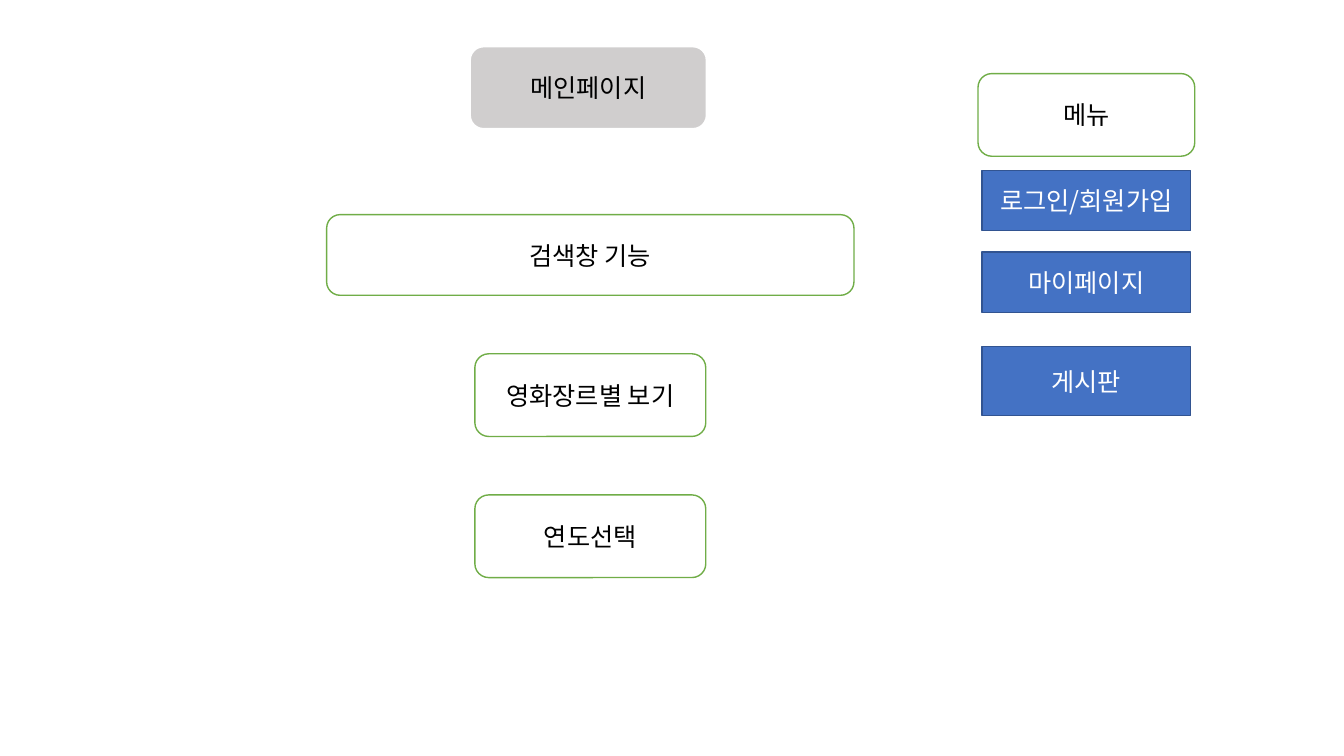
from lxml.etree import SubElement
from pptx import Presentation
from pptx.dml.color import RGBColor
from pptx.enum.shapes import MSO_SHAPE
from pptx.enum.text import MSO_ANCHOR, PP_ALIGN
from pptx.oxml.ns import qn
from pptx.util import Inches, Pt

COLORS = {"white": "FFFFFF", "black": "000000", "gray": "D0CECE",
          "green": "70AD47", "blue": "4472C4", "navy": "325491"}
FONT = "Noto Sans CJK KR"
STYLES = {
    "page": (MSO_SHAPE.ROUNDED_RECTANGLE, "gray", "white", 1.5, "black"),
    "feature": (MSO_SHAPE.ROUNDED_RECTANGLE, "white", "green", 1, "black"),
    "link": (MSO_SHAPE.RECTANGLE, "blue", "navy", 1, "white"),
}
MAIN_LEFT, MENU_LEFT = 4.71, 9.74
MAIN_WIDTH, MENU_WIDTH = 2.29, 2.07
BOX_HEIGHT, LINK_HEIGHT = 0.82, 0.6
FEATURE_TOP, FEATURE_STEP = 3.51, 1.4


def color(name):
    """Return the palette colour of that name."""
    return RGBColor.from_string(COLORS[name])


def apply(target, settings):
    """Set every attribute in the dict on the target."""
    for attribute, value in settings.items():
        setattr(target, attribute, value)


def add_label(box, wording, ink):
    """Write one centred line of text in a box."""
    frame = box.text_frame
    apply(frame, {"word_wrap": True, "vertical_anchor": MSO_ANCHOR.MIDDLE})
    line = frame.paragraphs[0]
    line.alignment = PP_ALIGN.CENTER
    label = line.add_run()
    label.text = wording
    apply(label.font, {"name": FONT, "size": Pt(18)})
    label.font.color.rgb = color(ink)
    SubElement(label.font._element, qn("a:ea"), typeface=FONT)


def add_box(slide, style, wording, *place):
    """Draw a labelled box in one of the named styles."""
    outline, fill, border, weight, ink = STYLES[style]
    box = slide.shapes.add_shape(outline, *map(Inches, place))
    box.shadow.inherit = False
    box.fill.solid()
    box.fill.fore_color.rgb = color(fill)
    box.line.color.rgb = color(border)
    box.line.width = Pt(weight)
    add_label(box, wording, ink)


def main():
    """Build the site map of the main page and its menu."""
    deck = Presentation()
    apply(deck, {"slide_width": Inches(13.33), "slide_height": Inches(7.5)})
    slide = deck.slides.add_slide(deck.slide_layouts[6])

    add_box(slide, "page", "메인페이지", 4.66, 0.46, 2.35, BOX_HEIGHT)
    add_box(slide, "feature", "검색창 기능", 3.24, 2.13, 5.23, 0.8)
    for row, feature in enumerate(("영화장르별 보기", "연도선택")):
        add_box(slide, "feature", feature, MAIN_LEFT,
                FEATURE_TOP + row * FEATURE_STEP, MAIN_WIDTH, BOX_HEIGHT)

    add_box(slide, "feature", "메뉴", 9.7, 0.73, 2.15, BOX_HEIGHT)
    for link, top, height in (("로그인/회원가입", 1.69, LINK_HEIGHT),
                              ("마이페이지", 2.5, LINK_HEIGHT),
                              ("게시판", 3.44, 0.68)):
        add_box(slide, "link", link, MENU_LEFT, top, MENU_WIDTH, height)

    deck.save("out.pptx")


if __name__ == "__main__":
    main()
